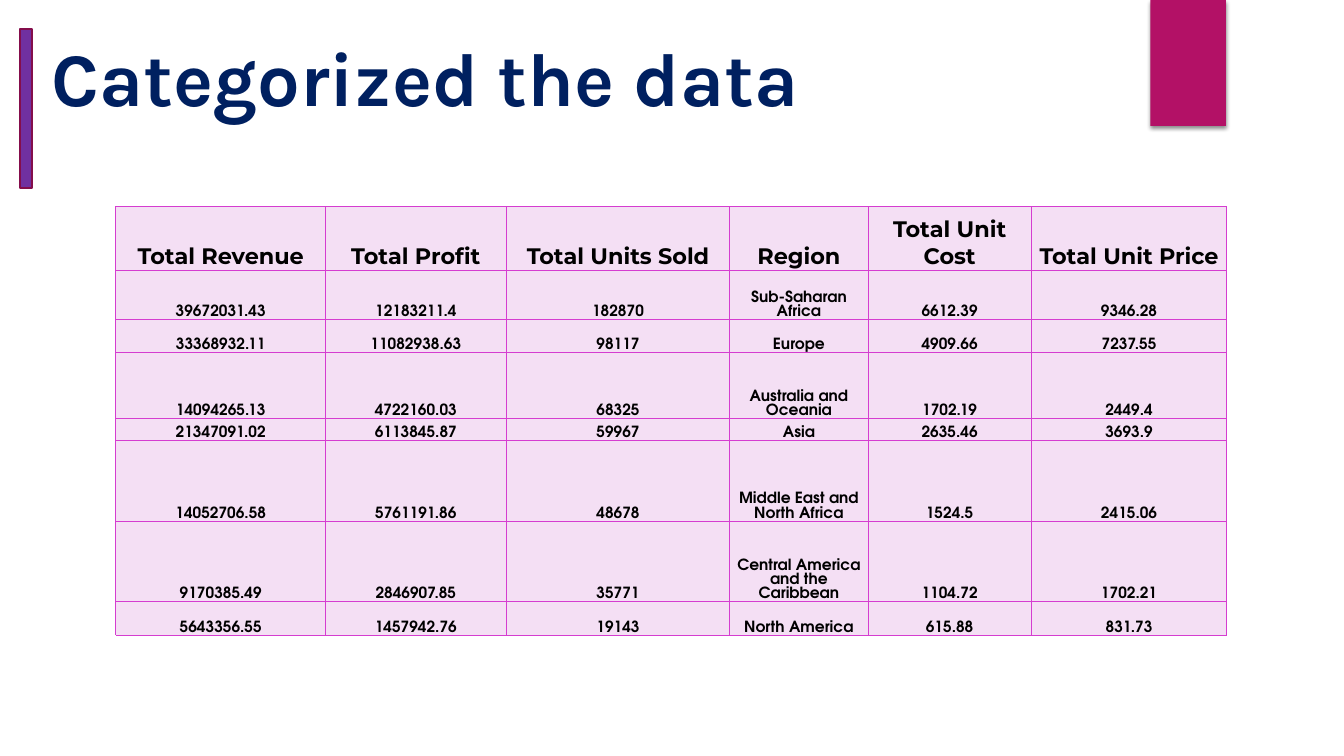
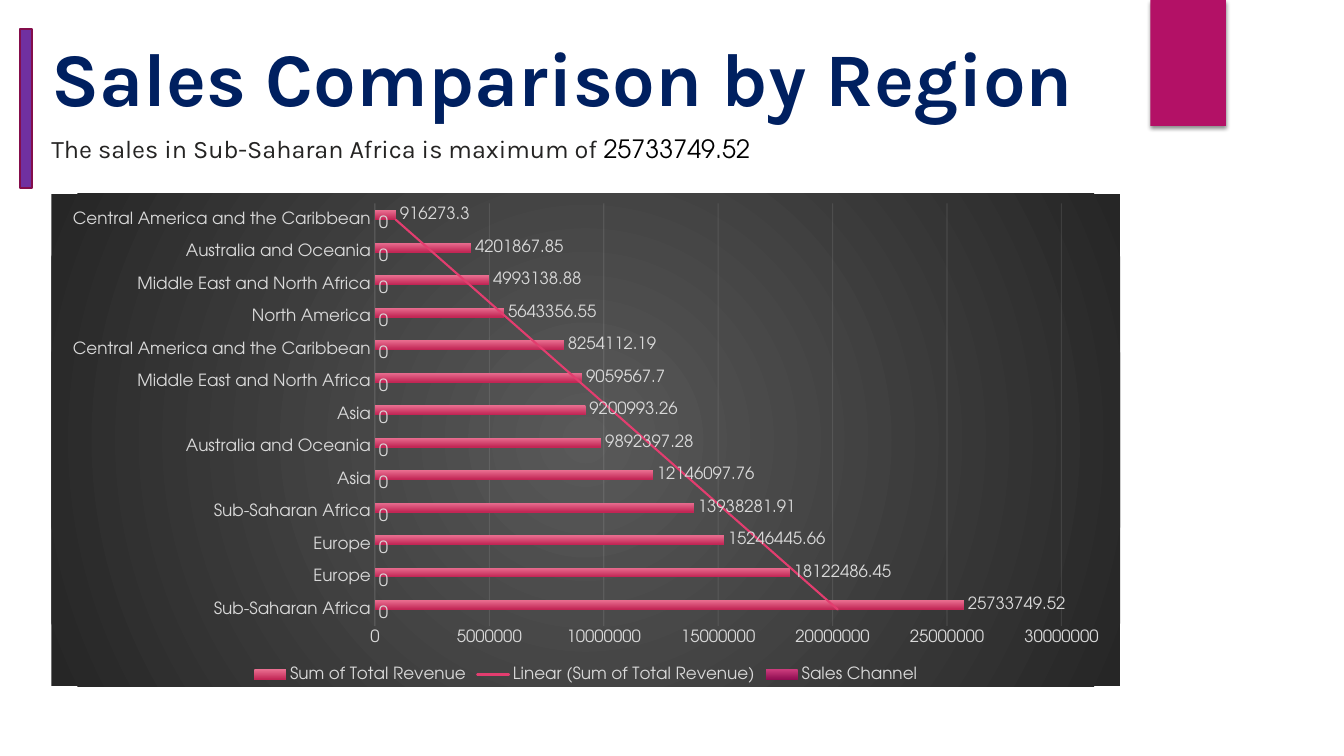
"""Build two sales slides: a table by region and a bar chart by region."""
from dataclasses import dataclass
from typing import Any, NamedTuple

from pptx import Presentation, oxml, util as u
from pptx.chart.data import CategoryChartData
from pptx.dml.color import RGBColor
from pptx.enum import chart as ch, shapes as sh, text as tx
from pptx.oxml import ns

SCALE = 9144
NAVY = RGBColor(0x00, 0x20, 0x60)
BLACK = RGBColor(0x00, 0x00, 0x00)
INK = RGBColor(0x25, 0x24, 0x23)
BERRY = RGBColor(0xB3, 0x11, 0x66)
WINE = RGBColor(0x84, 0x0D, 0x4B)
VIOLET = RGBColor(0x70, 0x30, 0xA0)
PINK = RGBColor(0xD5, 0x3D, 0xD0)
BLUSH = RGBColor(0xF4, 0xDF, 0xF4)
PALE = RGBColor(0xD9, 0xD9, 0xD9)
MIST = RGBColor(0xF2, 0xF2, 0xF2)
ROSE = RGBColor(0xE3, 0x3D, 0x6F)
GREY = RGBColor(0x59, 0x59, 0x59)
COAL = RGBColor(0x26, 0x26, 0x26)
SANS = "TeX Gyre Adventor"


class Box(NamedTuple):
    left: int
    top: int
    width: int
    height: int

    def emu(self) -> list[int]:
        return [px(n) for n in self]


@dataclass(frozen=True)
class Face:
    name: str
    size: int
    tint: RGBColor
    bold: bool = False


@dataclass(frozen=True)
class Run:
    text: str
    face: Face


@dataclass(frozen=True)
class Bars:
    name: str
    vals: list[float]
    stops: tuple[RGBColor, RGBColor]


TITLE = Face("Karla", 54, NAVY, True)
NOTE = Face("Karla", 18, INK)
SUM = Face(SANS, 18, BLACK)
HEAD = Face("Montserrat", 16, BLACK, True)
CELL = Face(SANS, 11, BLACK, True)
BASE = Face(SANS, 10, BLACK)
LABEL = Face(SANS, 12, PALE)

COLS = [208, 179, 222, 137, 162, 194]
ROWS = [63, 49, 33, 65, 22, 80, 80, 33]
DATA = [
    ["Total Revenue", "Total Profit", "Total Units Sold", "Region", "Total Unit Cost", "Total Unit Price"],
    ["39672031.43", "12183211.4", "182870", "Sub-Saharan Africa", "6612.39", "9346.28"],
    ["33368932.11", "11082938.63", "98117", "Europe", "4909.66", "7237.55"],
    ["14094265.13", "4722160.03", "68325", "Australia and Oceania", "1702.19", "2449.4"],
    ["21347091.02", "6113845.87", "59967", "Asia", "2635.46", "3693.9"],
    ["14052706.58", "5761191.86", "48678", "Middle East and North Africa", "1524.5", "2415.06"],
    ["9170385.49", "2846907.85", "35771", "Central America and the Caribbean", "1104.72", "1702.21"],
    ["5643356.55", "1457942.76", "19143", "North America", "615.88", "831.73"],
]
SALES = [
    ("Sub-Saharan Africa", 25733749.52),
    ("Europe", 18122486.45),
    ("Europe", 15246445.66),
    ("Sub-Saharan Africa", 13938281.91),
    ("Asia", 12146097.76),
    ("Australia and Oceania", 9892397.28),
    ("Asia", 9200993.26),
    ("Middle East and North Africa", 9059567.7),
    ("Central America and the Caribbean", 8254112.19),
    ("North America", 5643356.55),
    ("Middle East and North Africa", 4993138.88),
    ("Australia and Oceania", 4201867.85),
    ("Central America and the Caribbean", 916273.3),
]
SERIES = [
    Bars("Sales Channel", [0] * len(SALES), (RGBColor(0xCB, 0x3B, 0x7C), RGBColor(0x90, 0x0E, 0x52))),
    Bars("Sum of Total Revenue", [val for _, val in SALES],
         (RGBColor(0xE9, 0x6E, 0x90), RGBColor(0xC2, 0x26, 0x55))),
]


def px(count: int) -> int:
    return u.Emu(count * SCALE)


def put(item: Any, **form: Any) -> None:
    for key, val in form.items():
        setattr(item, key, val)


def xml(tag: str, attrs: str, inner: str) -> Any:
    return oxml.parse_xml(f"<{tag} {ns.nsdecls('a', 'c')} {attrs}>{inner}</{tag}>")


def solid(tint: RGBColor) -> str:
    return f'<a:solidFill><a:srgbClr val="{tint}"/></a:solidFill>'


def style(font: Any, face: Face) -> None:
    put(font, name=face.name, size=u.Pt(face.size), bold=face.bold)
    font.color.rgb = face.tint


def write(para: Any, runs: list[Run], align: Any) -> None:
    put(para, alignment=align, space_before=u.Pt(0))
    for part in runs:
        run = para.add_run()
        run.text = part.text
        style(run.font, part.face)


def fill_holder(holder: Any, box: Box, runs: list[Run]) -> None:
    put(holder, **dict(zip(Box._fields, box.emu())))
    frame = holder.text_frame
    put(frame, margin_left=0, margin_top=0, margin_right=0, margin_bottom=0, word_wrap=True,
        vertical_anchor=tx.MSO_ANCHOR.TOP, auto_size=tx.MSO_AUTO_SIZE.SHAPE_TO_FIT_TEXT)
    write(frame.paragraphs[0], runs, tx.PP_ALIGN.LEFT)


def add_shape(slide: Any, kind: Any, box: Box, fill: RGBColor) -> Any:
    shape = slide.shapes.add_shape(kind, *box.emu())
    shape.shadow.inherit = False
    shape.fill.solid()
    shape.fill.fore_color.rgb = fill
    shape.line.fill.background()
    return shape


def add_slide(deck: Any, layout: int, title: str, width: int) -> Any:
    slide = deck.slides.add_slide(deck.slide_layouts[layout])
    band = add_shape(slide, sh.MSO_SHAPE.RECTANGLE, Box(1141, 0, 75, 125), BERRY)
    shade = f'<a:srgbClr val="{BLACK}"><a:alpha val="45000"/></a:srgbClr>'
    blur = f'blurRad="{u.Pt(3)}" dist="{u.Pt(2)}" dir="5400000" algn="ctr" rotWithShape="0"'
    next(band.element.iter(ns.qn("a:effectLst"))).append(xml("a:outerShdw", blur, shade))
    fill_holder(slide.shapes.title, Box(51, 31, width, 91), [Run(title, TITLE)])
    bar = add_shape(slide, sh.MSO_SHAPE.MATH_MINUS, Box(-82, 82, 215, 51), VIOLET)
    bar.rotation = 90
    bar.line.color.rgb = WINE
    bar.line.width = u.Pt(1.5)
    return slide


def add_table(slide: Any, left: int, top: int) -> None:
    box = Box(left, top, sum(COLS), sum(ROWS))
    frame = slide.shapes.add_table(len(ROWS), len(COLS), *box.emu())
    table = frame.table
    put(table, first_row=False, horz_banding=False)
    for col, width in zip(table.columns, COLS):
        col.width = px(width)
    for at, (row, high, words) in enumerate(zip(table.rows, ROWS, DATA)):
        row.height = px(high)
        for cell, word in zip(row.cells, words):
            put(cell, margin_left=px(1), margin_right=px(1), margin_top=px(1), margin_bottom=0,
                vertical_anchor=tx.MSO_ANCHOR.BOTTOM)
            cell.fill.solid()
            cell.fill.fore_color.rgb = BLUSH
            face = CELL if at else HEAD
            write(cell.text_frame.paragraphs[0], [Run(word, face)], tx.PP_ALIGN.CENTER)
    for props in frame.element.iter(ns.qn("a:tcPr")):
        for spot, side in enumerate("LRTB"):
            props.insert(spot, xml(f"a:ln{side}", f'w="{u.Pt(0.75)}"', solid(PINK)))


def hairline(line: Any) -> None:
    line.color.rgb = MIST
    line.width = u.Pt(0.75)


def style_axes(chart: Any) -> None:
    cat, val = chart.category_axis, chart.value_axis
    for axis in (cat, val):
        put(axis, major_tick_mark=ch.XL_TICK_MARK.NONE, minor_tick_mark=ch.XL_TICK_MARK.NONE)
        style(axis.tick_labels.font, LABEL)
    put(val, minimum_scale=0, maximum_scale=30000000, major_unit=5000000, has_major_gridlines=True)
    hairline(cat.format.line)
    hairline(val.major_gridlines.format.line)
    val.format.line.fill.background()
    for tint in chart.element.iter(ns.qn("a:srgbClr")):
        if tint.get("val") == str(MIST):
            tint.append(xml("a:alpha", 'val="10000"', ""))


def style_bars(plot: Any) -> None:
    put(plot, gap_width=150, vary_by_categories=False)
    for bars, spec in zip(plot.series, SERIES):
        bars.invert_if_negative = False
        fill = bars.format.fill
        fill.gradient()
        fill.gradient_angle = 270
        for stop, tint in zip(fill.gradient_stops, spec.stops):
            stop.color.rgb = tint
        labels = bars.data_labels
        put(labels, show_value=True, position=ch.XL_LABEL_POSITION.OUTSIDE_END)
        style(labels.font, LABEL)


def add_chart(slide: Any, box: Box) -> None:
    data = CategoryChartData()
    data.categories = [name for name, _ in SALES]
    for spec in SERIES:
        data.add_series(spec.name, spec.vals)
    chart = slide.shapes.add_chart(ch.XL_CHART_TYPE.BAR_CLUSTERED, *box.emu(), data).chart
    put(chart, has_title=False, has_legend=True)
    style(chart.font, BASE)
    put(chart.legend, position=ch.XL_LEGEND_POSITION.BOTTOM, include_in_layout=False)
    style(chart.legend.font, LABEL)
    style_axes(chart)
    style_bars(chart.plots[0])
    trend = (f'<c:spPr><a:ln w="{u.Pt(1.5)}" cap="rnd">{solid(ROSE)}</a:ln></c:spPr>'
             '<c:trendlineType val="linear"/><c:dispRSqr val="0"/><c:dispEq val="0"/>')
    list(chart.element.iter(ns.qn("c:cat")))[-1].addprevious(xml("c:trendline", "", trend))
    stops = "".join(f'<a:gs pos="{pos}"><a:srgbClr val="{tint}"/></a:gs>'
                    for pos, tint in ((0, GREY), (100000, COAL)))
    back = (f'<a:gradFill><a:gsLst>{stops}</a:gsLst><a:path path="circle">'
            '<a:fillToRect l="50000" t="50000" r="50000" b="50000"/></a:path></a:gradFill>'
            '<a:ln><a:noFill/></a:ln>')
    chart.element.find(ns.qn("c:chart")).addnext(xml("c:spPr", "", back))


def add_note(slide: Any) -> None:
    body = slide.placeholders[1]
    runs = [Run("The sales in Sub-Saharan Africa is maximum of ", NOTE), Run("25733749.52", SUM)]
    fill_holder(body, Box(51, 132, 1224, 61), runs)
    for props in body.element.iter(ns.qn("a:pPr")):
        props.set("marL", "0")
        props.set("indent", "0")
        props.append(xml("a:buNone", "", ""))


def main() -> None:
    deck = Presentation()
    put(deck, slide_width=px(1333), slide_height=px(750))
    add_table(add_slide(deck, 5, "Categorized the data", 1089), 115, 205)
    slide = add_slide(deck, 1, "Sales Comparison by Region", 1253)
    add_note(slide)
    add_chart(slide, Box(51, 192, 1060, 489))
    deck.save("out.pptx")


if __name__ == "__main__":
    main()
